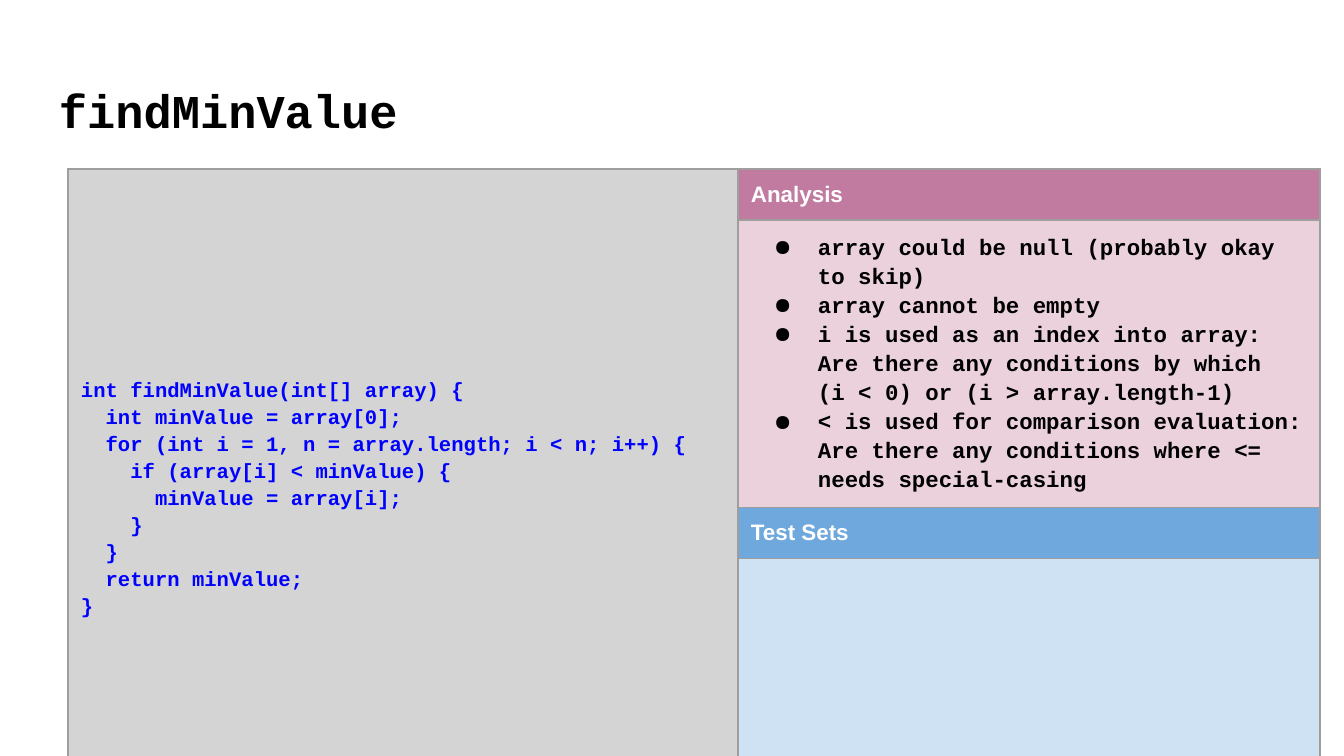
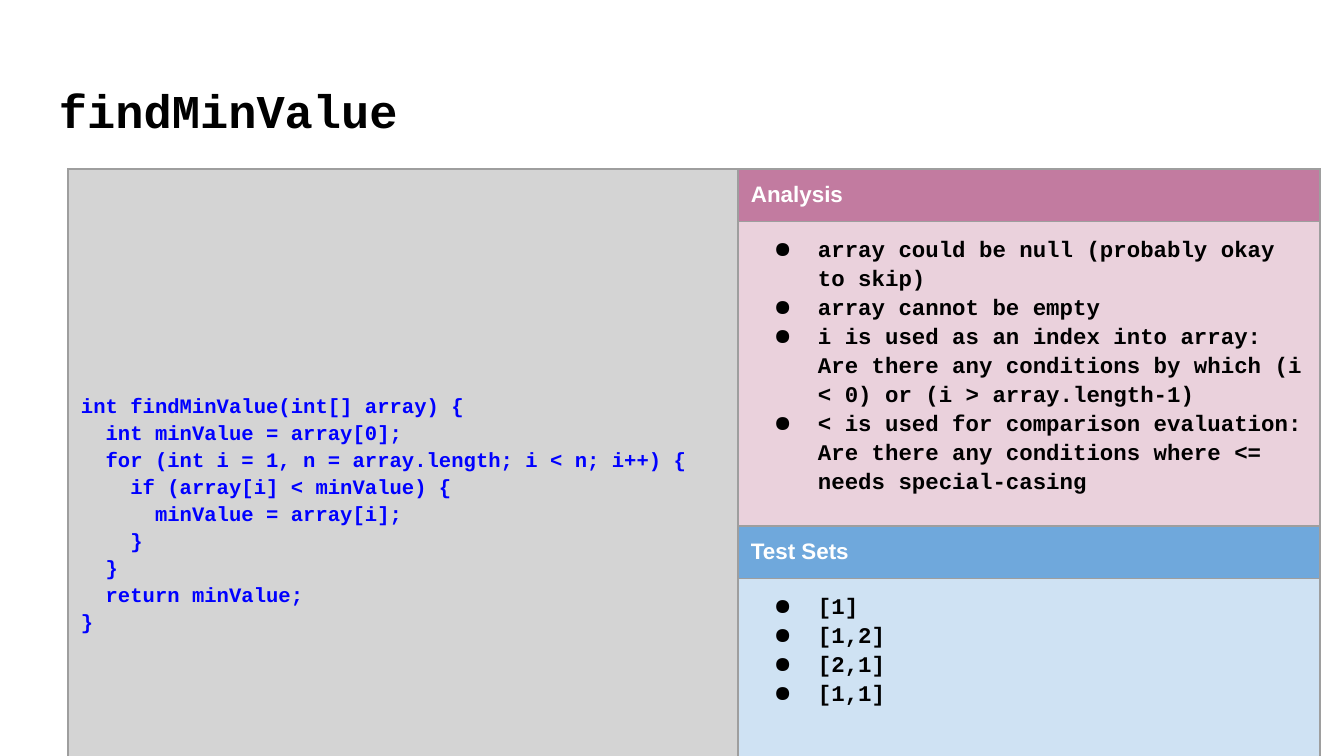
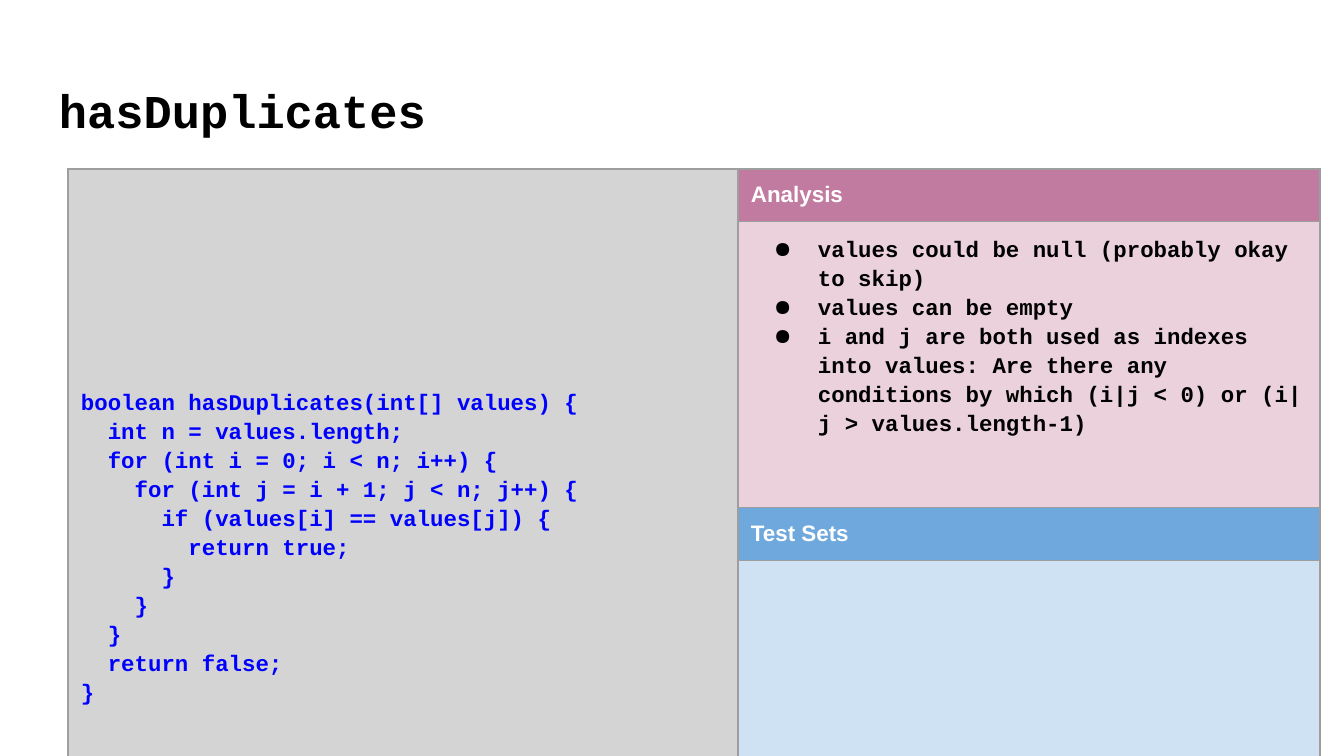
from lxml.etree import SubElement
from pptx import Presentation
from pptx.dml.color import RGBColor
from pptx.enum.text import MSO_ANCHOR
from pptx.oxml import parse_xml
from pptx.oxml.ns import nsdecls, qn
from pptx.util import Emu, Pt

SCALE = 914400 / 134.4
INSET = 13
COLORS = {
    "ink": "000000",
    "code": "0000FF",
    "white": "FFFFFF",
    "border": "9E9E9E",
    "code_fill": "D4D4D4",
    "analysis_head": "C27BA0",
    "analysis_body": "EAD1DC",
    "tests_head": "6FA8DC",
    "tests_body": "CFE2F3",
}
MONO = "Courier New"
SANS = "Arial"
COLUMN_WIDTHS = [670, 582]
RIGHT_FILLS = ["analysis_head", "analysis_body", "tests_head", "tests_body"]

MIN_CODE = """int findMinValue(int[] array) {
  int minValue = array[0];
  for (int i = 1, n = array.length; i < n; i++) {
    if (array[i] < minValue) {
      minValue = array[i];
    }
  }
  return minValue;
}"""
DUPLICATES_CODE = """boolean hasDuplicates(int[] values) {
  int n = values.length;
  for (int i = 0; i < n; i++) {
    for (int j = i + 1; j < n; j++) {
      if (values[i] == values[j]) {
        return true;
      }
    }
  }
  return false;
}"""
MIN_ANALYSIS = [
    "array could be null (probably okay to skip)",
    "array cannot be empty",
    "i is used as an index into array: Are there any conditions by which (i < 0) or (i > array.length-1)",
    "< is used for comparison evaluation: Are there any conditions where <= needs special-casing",
]
MIN_ANALYSIS_WIDE = [line.replace("which (i", "which  (i") for line in MIN_ANALYSIS]
DUPLICATES_ANALYSIS = [
    "values could be null (probably okay to skip)",
    "values can be empty",
    "i and j are both used as indexes into values: Are there any conditions by which (i|j < 0) or (i|j > values.length-1)",
]
MIN_ROWS = [42, 234, 42, 144]
DUPLICATES_ROWS = [46, 286, 46, 110]
PAGES = [
    ("findMinValue", MIN_CODE, 11, MIN_ROWS, MIN_ANALYSIS_WIDE, []),
    ("findMinValue", MIN_CODE, 11, MIN_ROWS, MIN_ANALYSIS, ["[1]", "[1,2]", "[2,1]", "[1,1]"]),
    ("hasDuplicates", DUPLICATES_CODE, 12, DUPLICATES_ROWS, DUPLICATES_ANALYSIS, []),
]


def px(length):
    return Emu(round(length * SCALE))


def write(frame, lines, size, font, color, spacing=1.0, bulleted=False):
    for index, line in enumerate(lines):
        para = frame.add_paragraph() if index else frame.paragraphs[0]
        para.text = line
        para.line_spacing = spacing
        if bulleted:
            properties = para._p.get_or_add_pPr()
            properties.set("marL", str(px(67)))
            properties.set("indent", str(px(-44)))
            bullet_color = SubElement(properties, qn("a:buClr"))
            SubElement(bullet_color, qn("a:srgbClr")).set("val", COLORS["ink"])
            SubElement(properties, qn("a:buChar")).set("char", "●")
        para.font.size = Pt(size)
        para.font.name = font
        para.font.bold = True
        para.font.color.rgb = RGBColor.from_string(COLORS[color])


deck = Presentation()
deck.slide_width = px(1344)
deck.slide_height = px(756)

for title, code, code_size, row_heights, analysis, tests in PAGES:
    page = deck.slides.add_slide(deck.slide_layouts[6])

    table_frame = page.shapes.add_table(4, 2, px(68), px(169), px(sum(COLUMN_WIDTHS)), px(sum(row_heights)))
    table = table_frame.table
    table.first_row = False
    table.horz_banding = False
    for column, width in zip(table.columns, COLUMN_WIDTHS):
        column.width = px(width)
    for row, height in zip(table.rows, row_heights):
        row.height = px(height)

    for row, right_fill in zip(table.rows, RIGHT_FILLS):
        for cell, fill in zip(row.cells, ["code_fill", right_fill]):
            cell.margin_left = cell.margin_right = px(INSET)
            cell.margin_top = cell.margin_bottom = px(INSET)
            cell.fill.solid()
            cell.fill.fore_color.rgb = RGBColor.from_string(COLORS[fill])
            for position, side in enumerate(["lnL", "lnR", "lnT", "lnB"]):
                border = parse_xml(
                    f'<a:{side} {nsdecls("a")} w="9525"><a:solidFill>'
                    f'<a:srgbClr val="{COLORS["border"]}"/></a:solidFill></a:{side}>'
                )
                cell._tc.get_or_add_tcPr().insert(position, border)

    code_cell = table.cell(0, 0)
    code_cell.merge(table.cell(3, 0))
    code_cell.vertical_anchor = MSO_ANCHOR.MIDDLE
    write(code_cell.text_frame, [code], code_size, MONO, "code", 1.15)
    code_cell.text_frame.paragraphs[0].space_after = Pt(12)

    for index, heading in [(0, "Analysis"), (2, "Test Sets")]:
        write(table.cell(index, 1).text_frame, [heading], 12, SANS, "white")
    for index, points in [(1, analysis), (3, tests)]:
        write(table.cell(index, 1).text_frame, points, 12, MONO, "ink", 1.15, True)

    title_box = page.shapes.add_textbox(px(46), px(66), px(1253), px(85))
    title_text = title_box.text_frame
    title_text.word_wrap = True
    title_text.vertical_anchor = MSO_ANCHOR.BOTTOM
    title_text.margin_left = title_text.margin_right = px(INSET)
    title_text.margin_top = title_text.margin_bottom = px(INSET)
    write(title_text, [title], 25.2, MONO, "ink")

deck.save("out.pptx")
